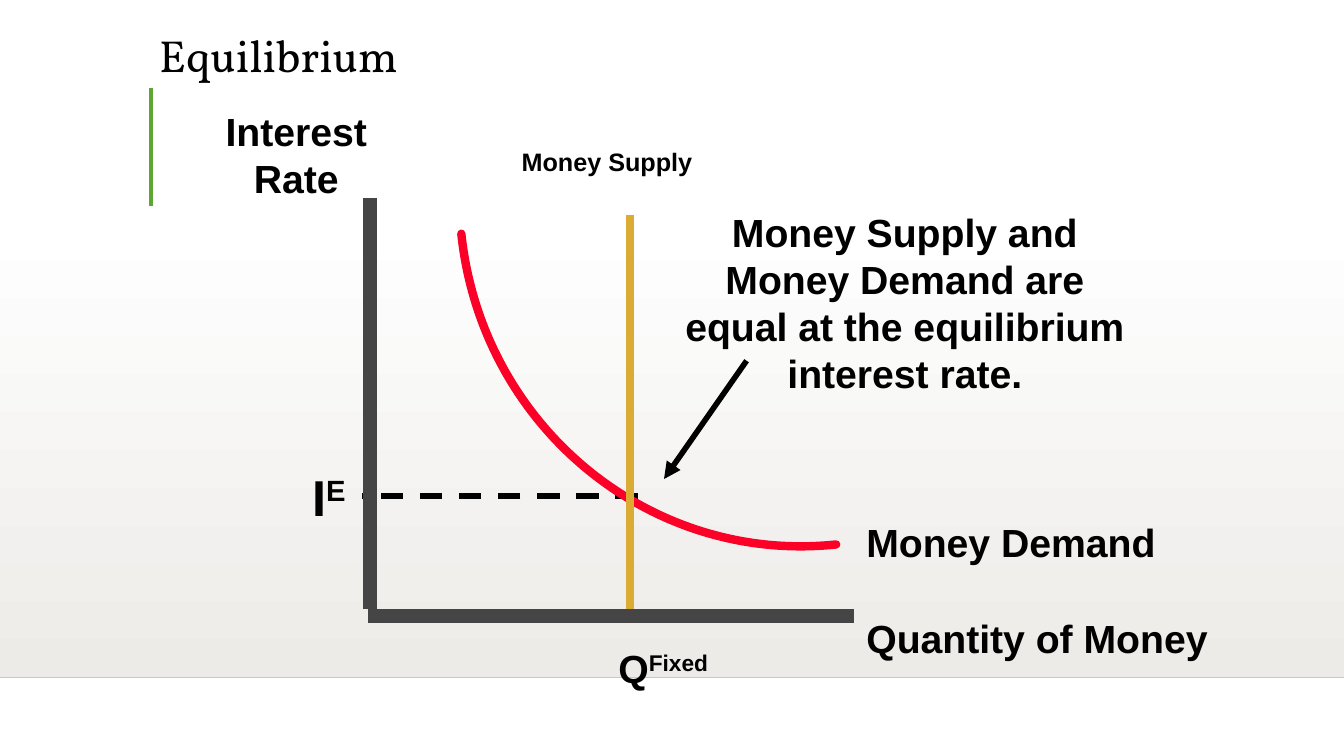
from dataclasses import dataclass

import pptx
import pptx.dml.color
import pptx.enum.dml
import pptx.enum.shapes
import pptx.enum.text
import pptx.oxml.ns
import pptx.util
from lxml import etree

Cm = pptx.util.Cm
Pt = pptx.util.Pt
ALIGN = pptx.enum.text.PP_ALIGN


@dataclass(frozen=True)
class Theme:
    ink: str = "000000"
    axis: str = "454545"
    demand: str = "FC0128"
    supply: str = "DCAB34"
    accent: str = "5FA534"
    panel_top: str = "FFFFFF"
    panel_bottom: str = "EDEBE7"
    horizon: str = "C8C8C4"
    title_font: str = "Vollkorn"
    label_font: str = "Arial"
    title_size: int = 32
    symbol_size: int = 36
    label_size: int = 28
    small_size: int = 18


THEME = Theme()

# Lengths in centimetres
SLIDE = (33.88, 19.05)
TITLE = ("Equilibrium", (3.76, 0.1, 25.2, 2.11))
PANEL = (0, 5.59, 33.87, 11.48)
AXIS_X, AXIS_Y = 9.32, 15.52
SUPPLY_X, SUPPLY_FOOT = 15.88, 15.34
RATE_Y = 12.5
RIGHT_LABELS_X = 21.59

# start, end, colour, width in points
FRAME_LINES = [
    ((0, 17.07), (33.87, 17.07), THEME.horizon, 1),
    ((3.81, 2.21), (3.81, 5.18), THEME.accent, 3),
]
AXES = [
    ((AXIS_X, 4.98), (AXIS_X, SUPPLY_FOOT), THEME.axis, 10),
    ((9.27, AXIS_Y), (21.54, AXIS_Y), THEME.axis, 10),
]
EQUILIBRIUM_RATE = ((16.08, RATE_Y), (9.12, RATE_Y), THEME.ink, 4)
SUPPLY = ((SUPPLY_X, 5.41), (SUPPLY_X, SUPPLY_FOOT), THEME.supply, 6)
CALLOUT_ARROW = ((18.82, 9.09), (16.74, 12.07), THEME.ink, 4)
DEMAND_BEZIER = [(21.08, 13.72), (16.36, 14.22), (12.14, 10.72), (11.63, 5.89)]

# lines of (base, superscript), box, size, alignment
LABELS = [
    ([("Interest", ""), ("Rate", "")], (5.42, 2.59, 4.1, 2.62),
     THEME.label_size, ALIGN.CENTER),
    ([("Money Demand", "")], (RIGHT_LABELS_X, 12.93, 7.8, 1.42),
     THEME.label_size, ALIGN.LEFT),
    ([("Money Supply", "")], (12.9, 3.56, 4.82, 1.02),
     THEME.small_size, ALIGN.LEFT),
    ([("Q", "Fixed")], (15.34, 16.1, 2.77, 1.42), THEME.label_size, ALIGN.LEFT),
    ([("I", "E")], (7.62, 11.63, 1.35, 1.78), THEME.symbol_size, ALIGN.LEFT),
    ([("Money Supply and", ""), ("Money Demand are", ""),
      ("equal at the equilibrium", ""), ("interest rate.", "")],
     (17.02, 5.13, 11.58, 4.98), THEME.label_size, ALIGN.CENTER),
    ([("Quantity of Money", "")], (RIGHT_LABELS_X, 15.36, 9.12, 1.45),
     THEME.label_size, ALIGN.LEFT),
]


def rgb(colour):
    return pptx.dml.color.RGBColor.from_string(colour)


def add_xml(parent, tag, **attributes):
    return etree.SubElement(parent, pptx.oxml.ns.qn(tag), **attributes)


def style_font(font, name, size, bold):
    font.name, font.size, font.bold = name, Pt(size), bold
    font.color.rgb = rgb(THEME.ink)


def add_line(slide, start, end, colour, width):
    line = slide.shapes.add_connector(
        pptx.enum.shapes.MSO_CONNECTOR.STRAIGHT,
        *(Cm(value) for value in start + end))
    line.line.color.rgb = rgb(colour)
    line.line.width = Pt(width)
    add_xml(line._element.spPr, "a:effectLst")
    return line


def add_title(slide):
    wording, box = TITLE
    title = slide.shapes.title
    title.left, title.top, title.width, title.height = map(Cm, box)
    title.text_frame.text = wording
    title.text_frame.vertical_anchor = pptx.enum.text.MSO_ANCHOR.BOTTOM
    heading = title.text_frame.paragraphs[0]
    heading.alignment = ALIGN.LEFT
    heading.line_spacing = 0.9
    style_font(heading.font, THEME.title_font, THEME.title_size, False)


def add_panel(slide):
    panel = slide.shapes.add_shape(
        pptx.enum.shapes.MSO_SHAPE.RECTANGLE, *map(Cm, PANEL))
    panel.shadow.inherit = False
    panel.line.fill.background()
    panel.fill.gradient()
    panel.fill.gradient_angle = 270
    for stop, colour in zip(panel.fill.gradient_stops,
                            (THEME.panel_top, THEME.panel_bottom)):
        stop.color.rgb = rgb(colour)


def add_demand_curve(slide):
    """Outline the Bezier's control points, then join them into one curve."""
    start, *controls = [(Cm(x), Cm(y)) for x, y in DEMAND_BEZIER]
    builder = slide.shapes.build_freeform(*start)
    builder.add_line_segments(controls, close=False)
    demand = builder.convert_to_shape()
    demand.shadow.inherit = False
    demand.fill.background()
    demand.line.color.rgb = rgb(THEME.demand)
    demand.line.width = Pt(6)
    demand.line._get_or_add_ln().set("cap", "rnd")
    outline = next(demand._element.iter(pptx.oxml.ns.qn("a:path")))
    segments = outline.findall(pptx.oxml.ns.qn("a:lnTo"))
    curve = add_xml(outline, "a:cubicBezTo")
    for segment in segments:
        curve.append(segment[0])
        outline.remove(segment)


def add_label(slide, lines, box, size, alignment):
    frame = slide.shapes.add_textbox(*map(Cm, box)).text_frame
    frame.word_wrap = False
    frame.auto_size = pptx.enum.text.MSO_AUTO_SIZE.SHAPE_TO_FIT_TEXT
    for index, (base, superscript) in enumerate(lines):
        paragraph = frame.add_paragraph() if index else frame.paragraphs[0]
        paragraph.alignment = alignment
        style_font(paragraph.font, THEME.label_font, size, True)
        paragraph.add_run().text = base
        if superscript:
            raised = paragraph.add_run()
            raised.text = superscript
            raised.font._element.set("baseline", "30000")


def main():
    presentation = pptx.Presentation()
    presentation.slide_width, presentation.slide_height = map(Cm, SLIDE)
    slide = presentation.slides.add_slide(presentation.slide_layouts[5])

    add_title(slide)
    add_panel(slide)
    for line in FRAME_LINES:
        add_line(slide, *line)
    rate = add_line(slide, *EQUILIBRIUM_RATE)
    rate.line.dash_style = pptx.enum.dml.MSO_LINE.DASH
    for axis in AXES:
        add_line(slide, *axis)
    add_demand_curve(slide)
    add_line(slide, *SUPPLY)
    arrow = add_line(slide, *CALLOUT_ARROW)
    add_xml(arrow.line._get_or_add_ln(), "a:tailEnd", type="triangle")
    for label in LABELS:
        add_label(slide, *label)

    presentation.save("out.pptx")


if __name__ == "__main__":
    main()
